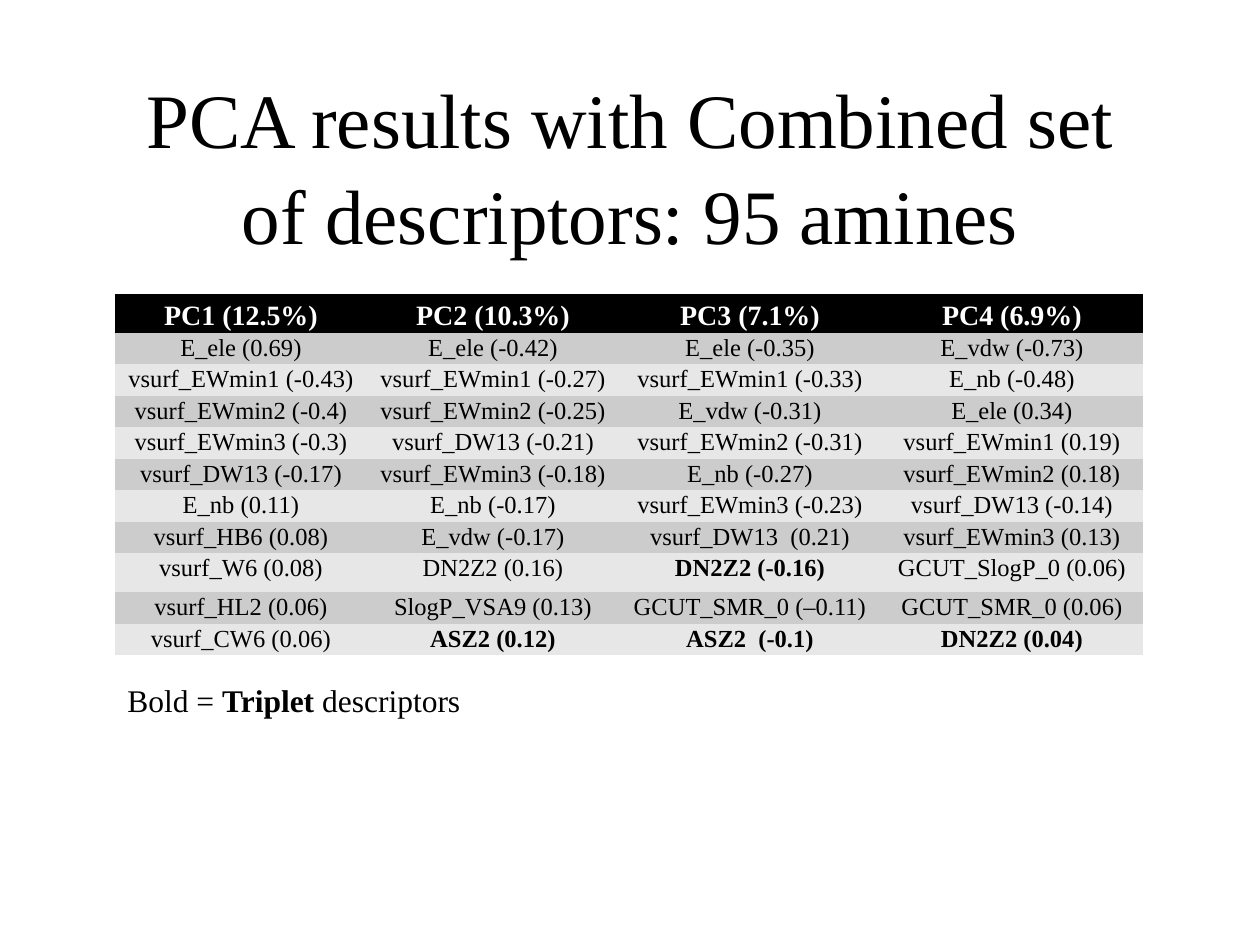
from pptx import Presentation
from pptx.dml.color import RGBColor
from pptx.enum.text import MSO_ANCHOR, MSO_AUTO_SIZE, PP_ALIGN
from pptx.oxml.ns import qn
from pptx.util import Emu, Pt

TITLE = "PCA results with Combined set of descriptors: 95 amines"
COMPONENTS = ["PC1 (12.5%)", "PC2 (10.3%)", "PC3 (7.1%)", "PC4 (6.9%)"]
LOADINGS = [
    ["E_ele (0.69)", "E_ele (-0.42)", "E_ele (-0.35)", "E_vdw (-0.73)"],
    ["vsurf_EWmin1 (-0.43)", "vsurf_EWmin1 (-0.27)", "vsurf_EWmin1 (-0.33)", "E_nb (-0.48)"],
    ["vsurf_EWmin2 (-0.4)", "vsurf_EWmin2 (-0.25)", "E_vdw (-0.31)", "E_ele (0.34)"],
    ["vsurf_EWmin3 (-0.3)", "vsurf_DW13 (-0.21)", "vsurf_EWmin2 (-0.31)", "vsurf_EWmin1 (0.19)"],
    ["vsurf_DW13 (-0.17)", "vsurf_EWmin3 (-0.18)", "E_nb (-0.27)", "vsurf_EWmin2 (0.18)"],
    ["E_nb (0.11)", "E_nb (-0.17)", "vsurf_EWmin3 (-0.23)", "vsurf_DW13 (-0.14)"],
    ["vsurf_HB6 (0.08)", "E_vdw (-0.17)", "vsurf_DW13  (0.21)", "vsurf_EWmin3 (0.13)"],
    ["vsurf_W6 (0.08)", "DN2Z2 (0.16)", "DN2Z2 (-0.16)", "GCUT_SlogP_0 (0.06)"],
    ["vsurf_HL2 (0.06)", "SlogP_VSA9 (0.13)", "GCUT_SMR_0 (–0.11)", "GCUT_SMR_0 (0.06)"],
    ["vsurf_CW6 (0.06)", "ASZ2 (0.12)", "ASZ2  (-0.1)", "DN2Z2 (0.04)"],
]
TRIPLETS = {"DN2Z2 (-0.16)", "ASZ2 (0.12)", "ASZ2  (-0.1)", "DN2Z2 (0.04)"}
LEGEND = [("Bold = ", False), ("Triplet", True), (" descriptors", False)]

COLORS = {"ink": "000000", "paper": "FFFFFF", "dark band": "CCCCCC", "light band": "E7E7E7"}
FONT = "Times New Roman"
PLAIN_TABLE = "{2D5ABB26-0587-4C30-8999-92F81FD0307C}"
SLIDE = (1260, 945)
TITLE_BOX = (95, 21, 1071, 273)
TABLE_BOX = (115, 294, 1028, 354)
LEGEND_BOX = (115, 672, 362, 52)
COLUMN_WIDTHS = [252, 252, 262, 262]
TALL_ROW, TALL_HEIGHT = 8, 39


def px(length):
    return Emu(round(length * 914400 / 126))


def apply(target, values):
    for name, value in values.items():
        setattr(target, name, value)


def color(name):
    return RGBColor.from_string(COLORS[name])


def write(paragraph, runs, size, ink, layout):
    apply(paragraph, layout)
    for text, bold in runs:
        run = paragraph.add_run()
        run.text = text
        apply(run.font, {"name": FONT, "size": Pt(size), "bold": bold})
        run.font.color.rgb = color(ink)


def add_text(slide, box, runs, size, frame_format, layout):
    frame = slide.shapes.add_textbox(*map(px, box)).text_frame
    apply(frame, frame_format)
    write(frame.paragraphs[0], runs, size, "ink", layout)


def add_loadings(slide):
    rows = [COMPONENTS] + LOADINGS
    holder = slide.shapes.add_table(len(rows), len(COMPONENTS), *map(px, TABLE_BOX))
    holder.element.find(".//" + qn("a:tableStyleId")).text = PLAIN_TABLE
    table = holder.table
    for column, width in zip(table.columns, COLUMN_WIDTHS):
        column.width = px(width)
    row_height = (TABLE_BOX[3] - TALL_HEIGHT) / (len(rows) - 1)
    for r, texts in enumerate(rows):
        header = r == 0
        band = "ink" if header else "dark band" if r % 2 else "light band"
        table.rows[r].height = px(TALL_HEIGHT if r == TALL_ROW else row_height)
        for c, text in enumerate(texts):
            cell = table.cell(r, c)
            apply(cell, {
                "margin_left": px(9), "margin_right": px(9),
                "margin_top": 0, "margin_bottom": 0,
                "vertical_anchor": MSO_ANCHOR.MIDDLE if header else MSO_ANCHOR.TOP,
            })
            cell.fill.solid()
            cell.fill.fore_color.rgb = color(band)
            write(cell.text_frame.paragraphs[0], [(text, header or text in TRIPLETS)],
                  16 if header else 14, "paper" if header else "ink",
                  {"alignment": PP_ALIGN.CENTER, "line_spacing": 1.15 if header else 1.07})


def main():
    deck = Presentation()
    deck.slide_width, deck.slide_height = map(px, SLIDE)
    slide = deck.slides.add_slide(deck.slide_layouts[6])
    add_text(slide, TITLE_BOX, [(TITLE, False)], 44,
             {"word_wrap": True, "vertical_anchor": MSO_ANCHOR.MIDDLE, "margin_top": px(18)},
             {"alignment": PP_ALIGN.CENTER, "line_spacing": 1.04})
    add_loadings(slide)
    add_text(slide, LEGEND_BOX, LEGEND, 18,
             {"word_wrap": False, "auto_size": MSO_AUTO_SIZE.SHAPE_TO_FIT_TEXT},
             {"line_spacing": 1.07, "space_after": Pt(8)})
    deck.save("out.pptx")


if __name__ == "__main__":
    main()
